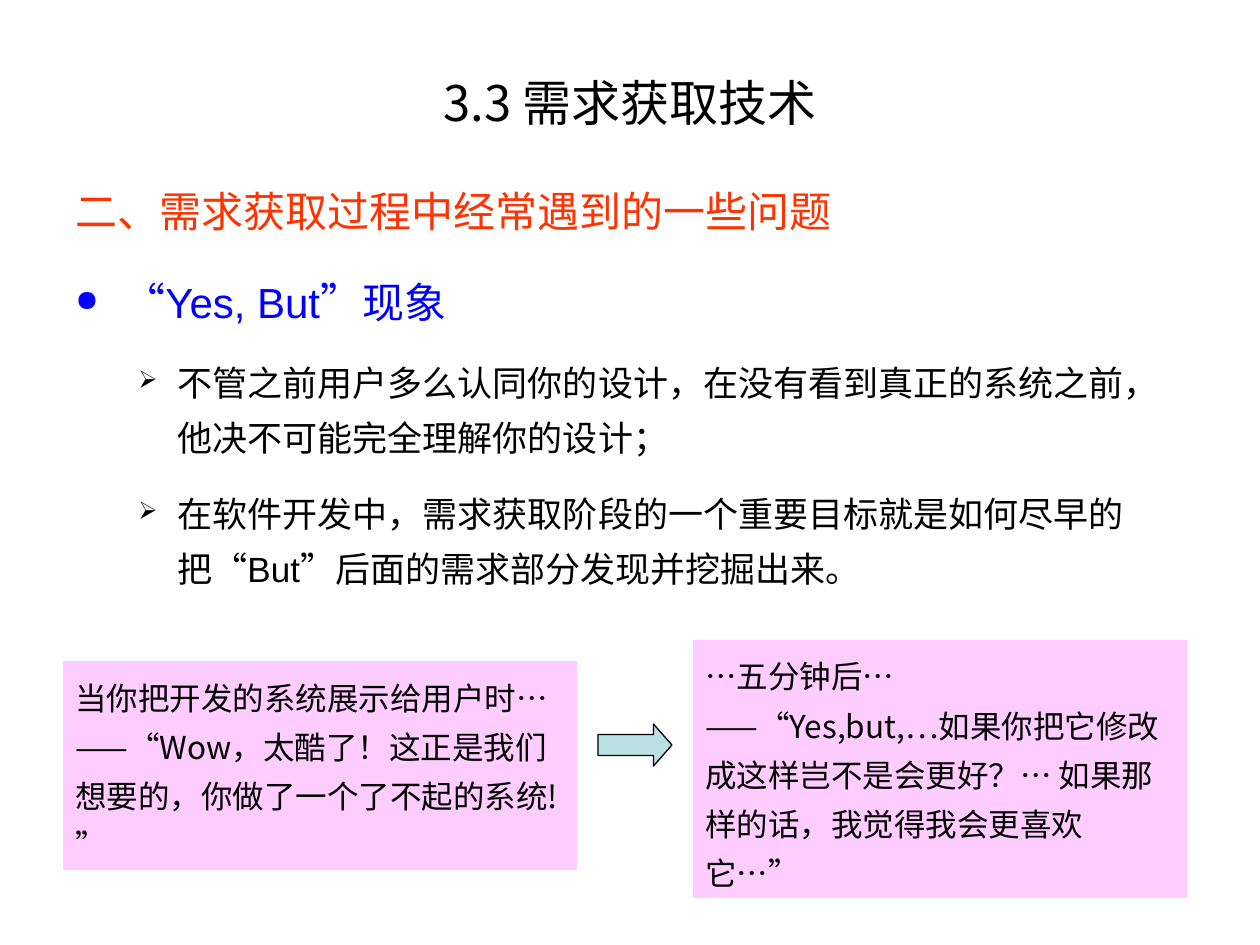
from lxml import etree
from pptx import Presentation
from pptx import util as u
from pptx.dml.color import RGBColor
from pptx.enum import lang, shapes, text
from pptx.oxml.ns import qn

EMU_PER_PX = 914400 // 126
LATIN, CJK = "Arial", "Noto Sans CJK SC"
BLACK, RED, BLUE = "000000", "FF3300", "0000FF"
PINK, TEAL = "FFCCFF", "BBE0E3"


def px(length):
    return u.Emu(length * EMU_PER_PX)


def color(hex_string):
    return RGBColor.from_string(hex_string)


class SlideWriter:
    def __init__(self, slide):
        self.slide = slide

    def box(self, left, top, width, height, anchor=text.MSO_ANCHOR.TOP):
        frame = self.slide.shapes.add_textbox(*map(px, (left, top, width, height))).text_frame
        frame.word_wrap = True
        frame.vertical_anchor = anchor
        return frame

    def shape(self, kind, bounds, fill, line=None):
        shape = self.slide.shapes.add_shape(kind, *map(px, bounds))
        shape.shadow.inherit = False
        shape.fill.solid()
        shape.fill.fore_color.rgb = color(fill)
        if line:
            shape.line.color.rgb = color(line)
            shape.line.width = u.Pt(0.75)
        else:
            shape.line.fill.background()
        return shape

    def paragraph(self, frame, runs, size, ink=BLACK, font=CJK, spacing=None, before=0,
                  indent=(0, 0), bullet=None, level=0, align=text.PP_ALIGN.LEFT):
        """Write runs, given as one string or as (words, font) pairs, into the next paragraph."""
        first = not frame.paragraphs[0].runs
        paragraph = frame.paragraphs[0] if first else frame.add_paragraph()
        paragraph.alignment = align
        paragraph.level = level
        if spacing:
            paragraph.line_spacing = spacing
        if before:
            paragraph.space_before = u.Pt(before)
        self.bullet(paragraph, bullet, ink, indent)
        paragraph.font.size = u.Pt(size)
        paragraph.font.color.rgb = color(ink)
        if isinstance(runs, str):
            paragraph.font.name = font
            runs = [(runs, None)]
        for words, run_font in runs:
            run = paragraph.add_run()
            run.text = words
            run.font.language_id = lang.MSO_LANGUAGE_ID.SIMPLIFIED_CHINESE
            if run_font:
                run.font.name = run_font

    def bullet(self, paragraph, mark, ink, indent):
        properties = paragraph._p.get_or_add_pPr()
        margin, hanging = indent
        properties.set("marL", str(px(margin)))
        properties.set("indent", str(px(-hanging)))
        if not mark:
            etree.SubElement(properties, qn("a:buNone"))
            return
        tint = etree.SubElement(properties, qn("a:buClr"))
        etree.SubElement(tint, qn("a:srgbClr"), val=ink)
        etree.SubElement(properties, qn("a:buSzPct"), val="70000")
        etree.SubElement(properties, qn("a:buChar"), char=mark)

    def quote(self, bounds, lines):
        frame = self.shape(shapes.MSO_SHAPE.RECTANGLE, bounds, PINK).text_frame
        frame.word_wrap = True
        frame.vertical_anchor = text.MSO_ANCHOR.TOP
        for line in lines:
            self.paragraph(frame, line, 18, spacing=1.3)

    def arrow(self, bounds):
        arrow = self.shape(shapes.MSO_SHAPE.RIGHT_ARROW, bounds, TEAL, BLACK)
        arrow.adjustments[1] = 0.44


def main():
    deck = Presentation()
    deck.slide_width, deck.slide_height = u.Inches(10), u.Inches(7.5)
    writer = SlideWriter(deck.slides.add_slide(deck.slide_layouts[6]))

    body = writer.box(63, 179, 1134, 703)
    writer.paragraph(body, "二、需求获取过程中经常遇到的一些问题", 24, RED, LATIN, indent=(48, 48))
    writer.paragraph(body, [("“", CJK), ("Yes, But", LATIN), ("”现象", CJK)], 24, BLUE,
                     spacing=1.3, before=15, indent=(48, 48), bullet="●")
    points = [
        "不管之前用户多么认同你的设计，在没有看到真正的系统之前，他决不可能完全理解你的设计；",
        [("在软件开发中，需求获取阶段的一个重要目标就是如何尽早的把“", CJK), ("But", LATIN),
         ("”后面的需求部分发现并挖掘出来。", CJK)],
    ]
    for point in points:
        writer.paragraph(body, point, 20, font=LATIN, spacing=1.3, before=12.5,
                         indent=(102, 39), bullet="➢", level=1)

    title = writer.box(63, 53, 1134, 98, text.MSO_ANCHOR.MIDDLE)
    writer.paragraph(title, "3.3 需求获取技术", 28, align=text.PP_ALIGN.CENTER)

    writer.quote((63, 661, 514, 209), [
        "当你把开发的系统展示给用户时…",
        "——“Wow，太酷了！这正是我们想要的，你做了一个了不起的系统! ”",
    ])
    writer.quote((693, 640, 494, 258), [
        "…五分钟后…",
        "——“Yes,but,…如果你把它修改成这样岂不是会更好？… 如果那样的话，我觉得我会更喜欢它…”",
    ])
    writer.arrow((598, 724, 74, 42))

    deck.save("out.pptx")


if __name__ == "__main__":
    main()
